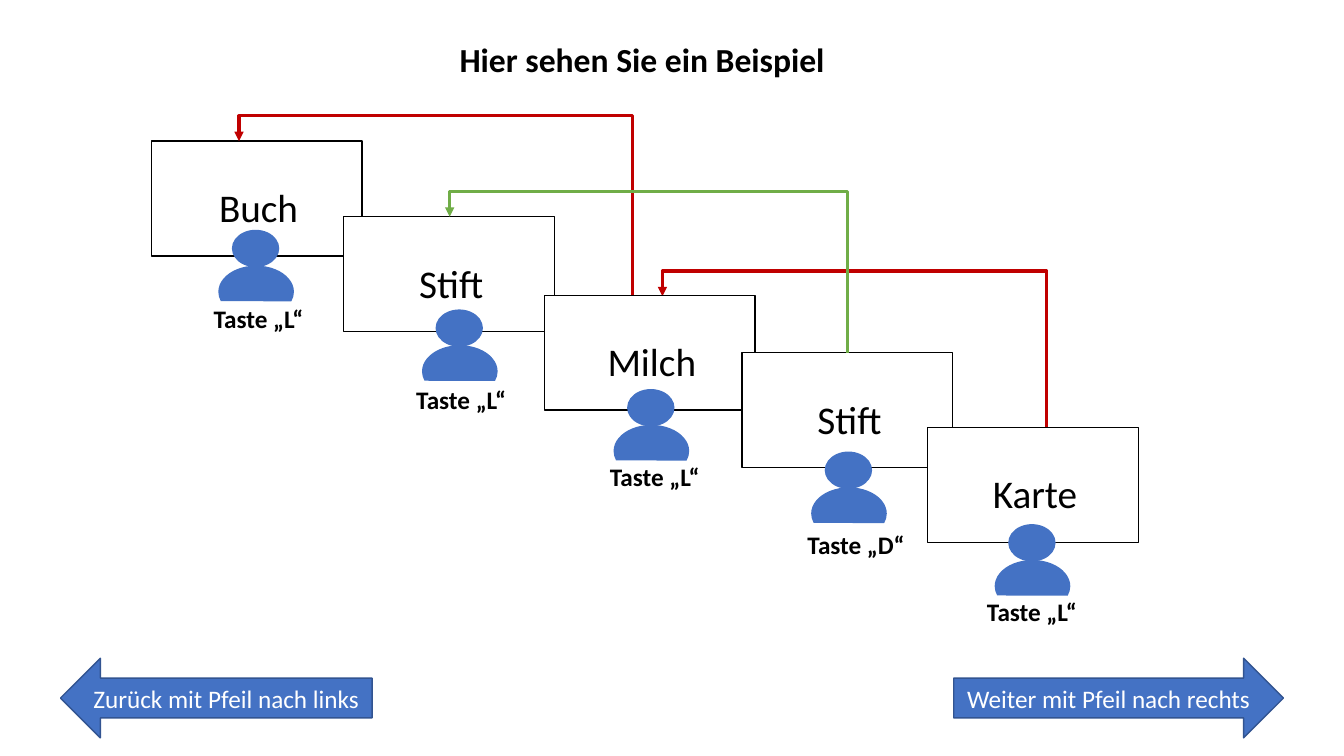
from dataclasses import dataclass
from lxml import etree
from pptx import Presentation
from pptx.dml.color import RGBColor
from pptx.enum import shapes as es, text as et
from pptx.oxml import ns
from pptx.util import Inches, Pt


@dataclass(frozen=True)
class Theme:
    font: str = "Calibri"
    black: str = "000000"
    white: str = "FFFFFF"
    blue: str = "4472C4"
    navy: str = "325491"
    red: str = "C00000"
    green: str = "70AD47"
    title: int = 24
    word: int = 28
    label: int = 18
    thin: float = 1
    thick: float = 2.25


T = Theme()
KIND = es.MSO_SHAPE
CARDS = [
    ("Buch", (1.5, 1.4), (2.3, 2.28), "Taste „L“", (2.02, 2.96)),
    ("Stift", (3.41, 2.15), (4.32, 3.07), "Taste „L“", (4.03, 3.76)),
    ("Milch", (5.4, 2.93), (6.22, 3.86), "Taste „L“", (5.95, 4.53)),
    ("Stift", (7.36, 3.5), (8.18, 4.48), "Taste „D“", (7.91, 5.2)),
    ("Karte", (9.2, 4.24), (10, 5.2), "Taste „L“", (9.69, 5.87)),
]


def rgb(code):
    return RGBColor.from_string(code)


def write(frame, words, size, color=T.black, bold=False, center=False):
    para = frame.paragraphs[0]
    para.alignment = et.PP_ALIGN.CENTER if center else et.PP_ALIGN.LEFT
    run = para.add_run()
    run.text = words
    run.font.name = T.font
    run.font.size = Pt(size)
    run.font.bold = bold
    run.font.color.rgb = rgb(color)


def note(slide, box, words, size, wrap=False, **form):
    frame = slide.shapes.add_textbox(*map(Inches, box)).text_frame
    frame.word_wrap = wrap
    frame.auto_size = et.MSO_AUTO_SIZE.SHAPE_TO_FIT_TEXT
    write(frame, words, size, **form)


def block(slide, kind, box, fill, line=None):
    shape = slide.shapes.add_shape(kind, *map(Inches, box))
    shape.shadow.inherit = False
    shape.fill.solid()
    shape.fill.fore_color.rgb = rgb(fill)
    if line:
        shape.line.color.rgb = rgb(line)
        shape.line.width = Pt(T.thin)
    else:
        shape.line.fill.background()
    return shape


def card(slide, x, y, word):
    block(slide, KIND.RECTANGLE, (x, y, 2.09, 1.14), T.white, T.black)
    note(slide, (x + .48, y + .37, 1.17, .4), word, T.word, wrap=True, center=True)


def person(slide, x, y):
    block(slide, KIND.OVAL, (x, y, .47, .37), T.blue)
    body = block(slide, KIND.CHORD, (x - .02, y + .24, .52, .75), T.blue)
    body.rotation = 90
    body.adjustments[0] = 45.13
    body.adjustments[1] = 171.09


def link(slide, start, end, color, rise=.25):
    (x1, y1), (x2, y2) = start, end
    midx, midy = (x1 + x2) / 2, (y1 + y2) / 2
    high, wide = y1 - y2, x1 - x2
    line = slide.shapes.add_connector(
        es.MSO_CONNECTOR.ELBOW,
        Inches(midx - high / 2), Inches(midy + wide / 2),
        Inches(midx + high / 2), Inches(midy - wide / 2))
    line.line.color.rgb = rgb(color)
    line.line.width = Pt(T.thick)
    props = line._element.spPr
    props.find(ns.qn("a:xfrm")).set("rot", str(270 * 60000))
    guides = props.find(ns.qn("a:prstGeom")).get_or_add_avLst()
    bend = round((1 + rise / high) * 100000)
    etree.SubElement(guides, ns.qn("a:gd"), name="adj1", fmla=f"val {bend}")
    etree.SubElement(props.find(ns.qn("a:ln")), ns.qn("a:tailEnd"), type="triangle")
    etree.SubElement(props, ns.qn("a:effectLst"))


def button(slide, kind, box, words):
    frame = block(slide, kind, box, T.blue, T.navy).text_frame
    frame.word_wrap = True
    frame.vertical_anchor = et.MSO_ANCHOR.MIDDLE
    write(frame, words, T.label, color=T.white, center=True)


def example(slide):
    note(slide, (4.46, .34, 3.86, .5), "Hier sehen Sie ein Beispiel", T.title, bold=True)
    link(slide, (10.38, 4.61), (6.57, 2.94), T.red)
    for word, spot, *_ in CARDS:
        card(slide, *spot, word)
    for _, _, head, key, spot in CARDS:
        person(slide, *head)
        note(slide, (*spot, 1.21, .31), key, T.label, bold=True)
    link(slide, (6.27, 2.93), (2.37, 1.4), T.red)
    link(slide, (8.41, 3.5), (4.46, 2.15), T.green)
    button(slide, KIND.LEFT_ARROW, (.6, 6.53, 3.09, .79), "Zurück mit Pfeil nach links")
    button(slide, KIND.RIGHT_ARROW, (9.46, 6.53, 3.27, .79), "Weiter mit Pfeil nach rechts")


def main():
    deck = Presentation()
    deck.slide_width, deck.slide_height = Inches(13.33), Inches(7.5)
    example(deck.slides.add_slide(deck.slide_layouts[6]))
    deck.save("out.pptx")


if __name__ == "__main__":
    main()
